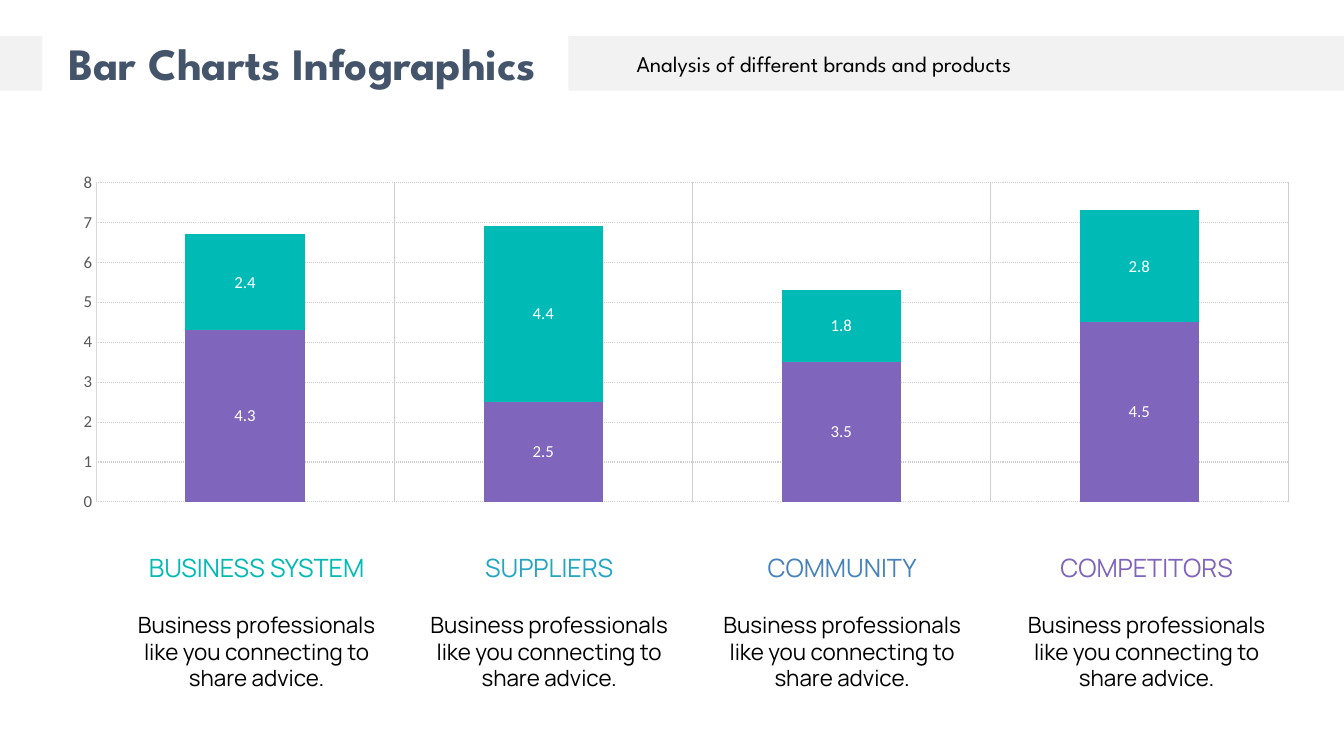
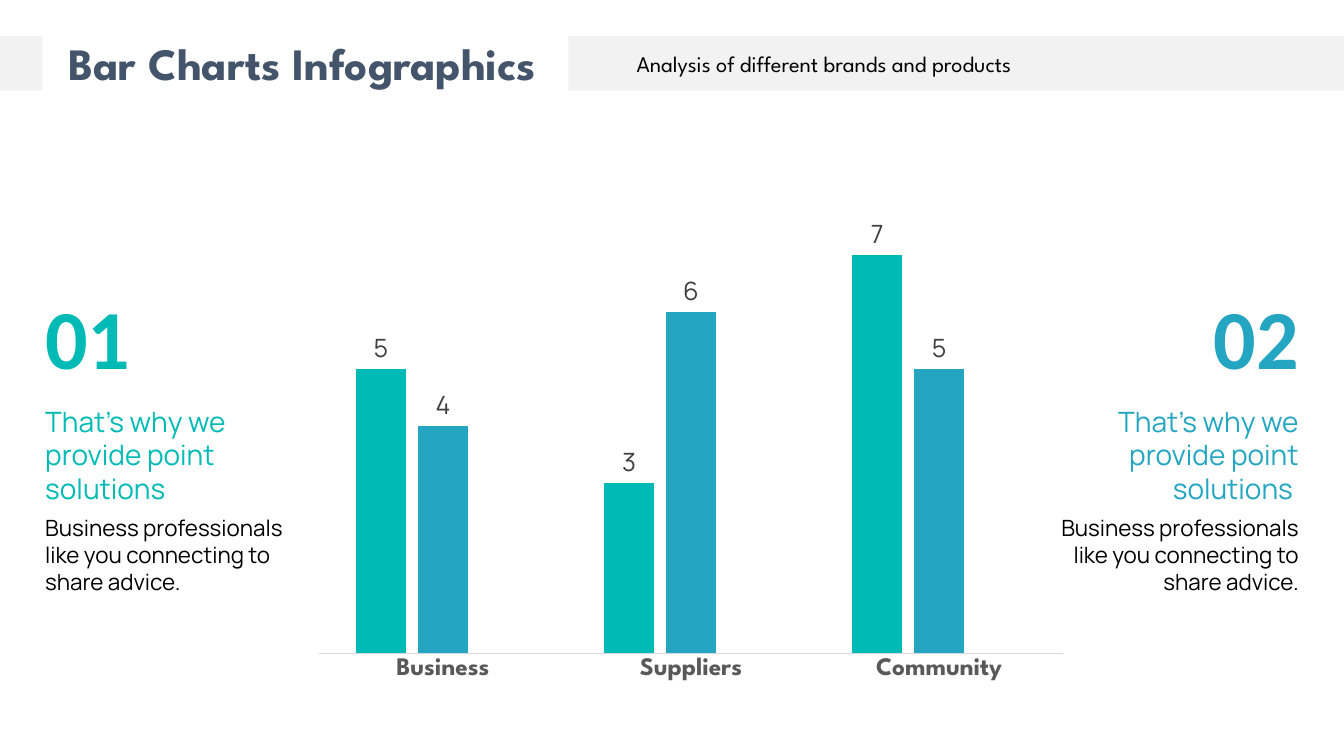
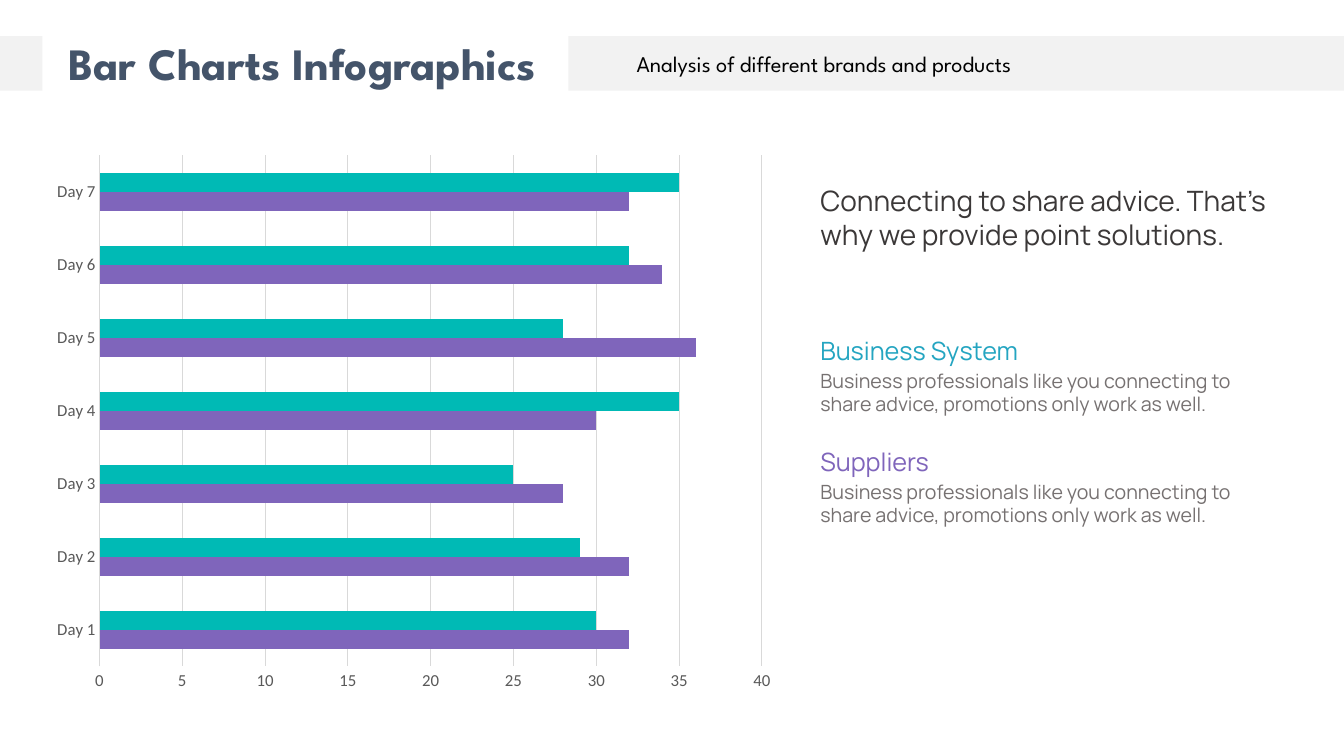
from dataclasses import dataclass
from typing import Any, Optional

from pptx import Presentation, util as u
from pptx.chart.data import CategoryChartData
from pptx.dml.color import RGBColor
from pptx.enum import chart as ch, dml, shapes, text as tx

SLIDE_W, SLIDE_H = u.Inches(13.33), u.Inches(7.5)


@dataclass(frozen=True)
class Theme:
    band: str = "F2F2F2"
    navy: str = "44546A"
    black: str = "000000"
    white: str = "FFFFFF"
    teal: str = "00BAB5"
    cyan: str = "24A5C1"
    blue: str = "4782BD"
    purple: str = "7F65BB"
    gray: str = "A5A5A5"
    lead: str = "3B3838"
    muted: str = "767171"
    axis: str = "595959"
    value: str = "404040"
    line: str = "D9D9D9"
    grid: str = "D0CECE"
    display: str = "League Spartan"
    body: str = "Manrope"
    figures: str = "Calibri"
    number_size: int = 60
    title_size: int = 32
    lead_size: int = 20
    head_size: int = 18
    body_size: int = 16
    note_size: int = 14
    tick_size: int = 12


T = Theme()


@dataclass(frozen=True)
class Area:
    """Percentages of the slide's width and height."""
    left: float
    top: float
    width: float
    height: float

    def emu(self) -> tuple[int, int, int, int]:
        return (round(SLIDE_W * self.left / 100), round(SLIDE_H * self.top / 100),
                round(SLIDE_W * self.width / 100), round(SLIDE_H * self.height / 100))


@dataclass(frozen=True)
class Style:
    font: str
    size: int
    color: str
    bold: bool = False


@dataclass(frozen=True)
class Series:
    name: str
    values: tuple
    color: str


@dataclass(frozen=True)
class Topic:
    heading: str
    color: str
    left: float


@dataclass(frozen=True)
class Point:
    number: str
    heading: str
    color: str
    align: Any


LEFT, CENTER, RIGHT = tx.PP_ALIGN.LEFT, tx.PP_ALIGN.CENTER, tx.PP_ALIGN.RIGHT
BODY = Style(T.body, T.body_size, T.black)
NOTE = Style(T.body, T.note_size, T.muted)
TICK = Style(T.figures, T.tick_size, T.axis)
ADVICE = "Business professionals like you connecting to share advice."
PROMOTIONS = ("Business professionals like you connecting to share advice, "
              "promotions only work as well.")


def apply(target: Any, values: dict[str, Any]) -> None:
    for name, value in values.items():
        setattr(target, name, value)


def set_font(font: Any, style: Style) -> None:
    apply(font, {"name": style.font, "size": u.Pt(style.size), "bold": style.bold})
    font.color.rgb = RGBColor.from_string(style.color)


def set_line(line: Any, color: str, dash: Any = None) -> None:
    line.color.rgb = RGBColor.from_string(color)
    line.width = u.Pt(0.75)
    if dash is not None:
        line.dash_style = dash


def add_text(slide: Any, area: Area, words: str, style: Style, align: Any = LEFT) -> None:
    frame = slide.shapes.add_textbox(*area.emu()).text_frame
    apply(frame, {"word_wrap": True, "auto_size": tx.MSO_AUTO_SIZE.SHAPE_TO_FIT_TEXT})
    paragraph = frame.paragraphs[0]
    paragraph.alignment = align
    run = paragraph.add_run()
    run.text = words
    set_font(run.font, style)


def add_band(slide: Any, left: float, width: float) -> None:
    band = slide.shapes.add_shape(shapes.MSO_SHAPE.RECTANGLE, *Area(left, 4.8, width, 7.2).emu())
    band.shadow.inherit = False
    band.fill.solid()
    band.fill.fore_color.rgb = RGBColor.from_string(T.band)
    band.line.fill.background()


def new_slide(deck: Any) -> Any:
    slide = deck.slides.add_slide(deck.slide_layouts[6])
    add_band(slide, 42.3, 57.7)
    add_band(slide, 0, 3.15)
    add_text(slide, Area(1.8, 4.13, 41.4, 8.53), "Bar Charts Infographics",
             Style(T.display, T.title_size, T.navy, True), CENTER)
    add_text(slide, Area(43.2, 6, 36.22, 4.93), "Analysis of different brands and products",
             Style(T.display, T.body_size, T.black), CENTER)
    return slide


def add_bars(slide: Any, area: Area, kind: Any, categories: tuple, series: tuple,
             gap: int, overlap: int, top: int, step: int,
             labels: Optional[Style] = None, label_place: Any = None) -> Any:
    data = CategoryChartData()
    data.categories = categories
    for entry in series:
        data.add_series(entry.name, entry.values)
    chart = slide.shapes.add_chart(kind, *area.emu(), data).chart
    apply(chart, {"has_legend": False, "has_title": False})
    set_font(chart.font, TICK)
    plot = chart.plots[0]
    apply(plot, {"gap_width": gap, "overlap": overlap, "vary_by_categories": False})
    apply(chart.value_axis, {"minimum_scale": 0, "maximum_scale": top, "major_unit": step})
    for bars, entry in zip(plot.series, series):
        bars.format.fill.solid()
        bars.format.fill.fore_color.rgb = RGBColor.from_string(entry.color)
        bars.invert_if_negative = False
        if labels:
            apply(bars.data_labels, {"show_value": True, "position": label_place})
            set_font(bars.data_labels.font, labels)
    for axis in (chart.category_axis, chart.value_axis):
        apply(axis, {"major_tick_mark": ch.XL_TICK_MARK.NONE,
                     "minor_tick_mark": ch.XL_TICK_MARK.NONE,
                     "has_major_gridlines": False})
        set_font(axis.tick_labels.font, TICK)
        set_line(axis.format.line, T.line)
    return chart


def stacked_slide(deck: Any) -> None:
    slide = new_slide(deck)
    chart = add_bars(
        slide, Area(4.35, 21.87, 93.38, 46.8), ch.XL_CHART_TYPE.COLUMN_STACKED,
        ("1", "2", "3", "4"),
        (Series("Series 1", (4.3, 2.5, 3.5, 4.5), T.purple),
         Series("Series 2", (2.4, 4.4, 1.8, 2.8), T.teal)),
        150, 100, 8, 1, Style(T.figures, T.tick_size, T.white), ch.XL_LABEL_POSITION.CENTER)
    set_line(chart.category_axis.major_gridlines.format.line, T.grid)
    set_line(chart.value_axis.major_gridlines.format.line, T.grid, dml.MSO_LINE.ROUND_DOT)
    chart.category_axis.visible = False
    for topic in (Topic("BUSINESS SYSTEM", T.teal, 9.08),
                  Topic("SUPPLIERS", T.cyan, 30.85),
                  Topic("COMMUNITY", T.blue, 52.65),
                  Topic("COMPETITORS", T.purple, 75.3)):
        add_text(slide, Area(topic.left, 80.13, 20.03, 12.13), ADVICE, BODY, CENTER)
        add_text(slide, Area(topic.left, 72.4, 20.03, 5.33), topic.heading,
                 Style(T.body, T.head_size, topic.color), CENTER)


def clustered_slide(deck: Any) -> None:
    slide = new_slide(deck)
    chart = add_bars(
        slide, Area(22.58, 24.93, 57.68, 66.4), ch.XL_CHART_TYPE.COLUMN_CLUSTERED,
        ("Business", "Suppliers", "Community"),
        (Series("Series 1", (5, 3, 7), T.teal),
         Series("Series 2", (4, 6, 5), T.cyan),
         Series("Series 3", (None, None, None), T.gray)),
        150, -25, 8, 1, Style(T.body, T.head_size, T.value), ch.XL_LABEL_POSITION.OUTSIDE_END)
    set_font(chart.category_axis.tick_labels.font, Style(T.display, T.head_size, T.axis, True))
    chart.value_axis.visible = False
    margin = 2.63
    for point in (Point("01", "That’s why we provide point solutions", T.teal, LEFT),
                  Point("02", "That’s why we provide point solutions ", T.cyan, RIGHT)):
        for words, style, top, width, height in (
                (point.number, Style(T.figures, T.number_size, point.color, True),
                 37.07, 11.33, 14.8),
                (point.heading, Style(T.body, T.lead_size, point.color), 52.8, 21.98, 14.8),
                (ADVICE, BODY, 67.33, 19.35, 15.73)):
            left = margin if point.align == LEFT else 100 - margin - width
            add_text(slide, Area(left, top, width, height), words, style, point.align)


def daily_slide(deck: Any) -> None:
    slide = new_slide(deck)
    chart = add_bars(
        slide, Area(3.15, 19.07, 55.28, 73.73), ch.XL_CHART_TYPE.BAR_CLUSTERED,
        tuple(f"Day {day}" for day in range(1, 8)),
        (Series("Series 1", (32, 32, 28, 30, 36, 34, 32), T.purple),
         Series("Series 2", (30, 29, 25, 35, 28, 32, 35), T.teal)),
        182, 0, 40, 5)
    set_line(chart.value_axis.major_gridlines.format.line, T.line)
    chart.value_axis.format.line.fill.background()
    left, width = 60.3, 35.18
    add_text(slide, Area(left, 23.6, width, 14.8),
             "Connecting to share advice. That’s why we provide point solutions.",
             Style(T.body, T.lead_size, T.lead))
    for row, topic in enumerate((Topic("Business System", T.cyan, left),
                                 Topic("Suppliers", T.purple, left))):
        top = 43.73 + row * 14.67
        add_text(slide, Area(topic.left, top + 4.4, width, 7.6), PROMOTIONS, NOTE)
        add_text(slide, Area(topic.left, top, 18.6, 5.33), topic.heading,
                 Style(T.body, T.head_size, topic.color))


def main() -> None:
    deck = Presentation()
    apply(deck, {"slide_width": SLIDE_W, "slide_height": SLIDE_H})
    for build in (stacked_slide, clustered_slide, daily_slide):
        build(deck)
    deck.save("out.pptx")


if __name__ == "__main__":
    main()
